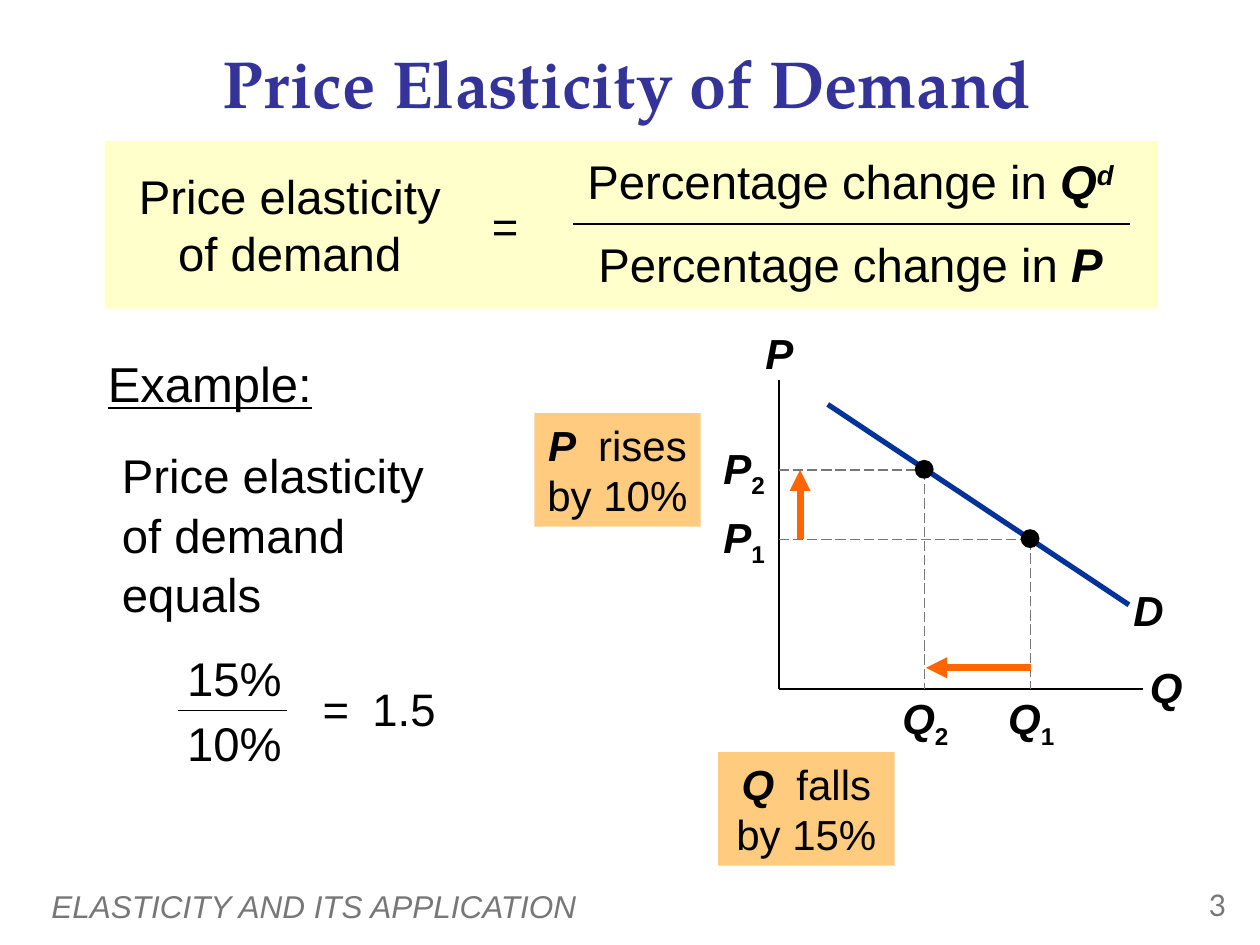
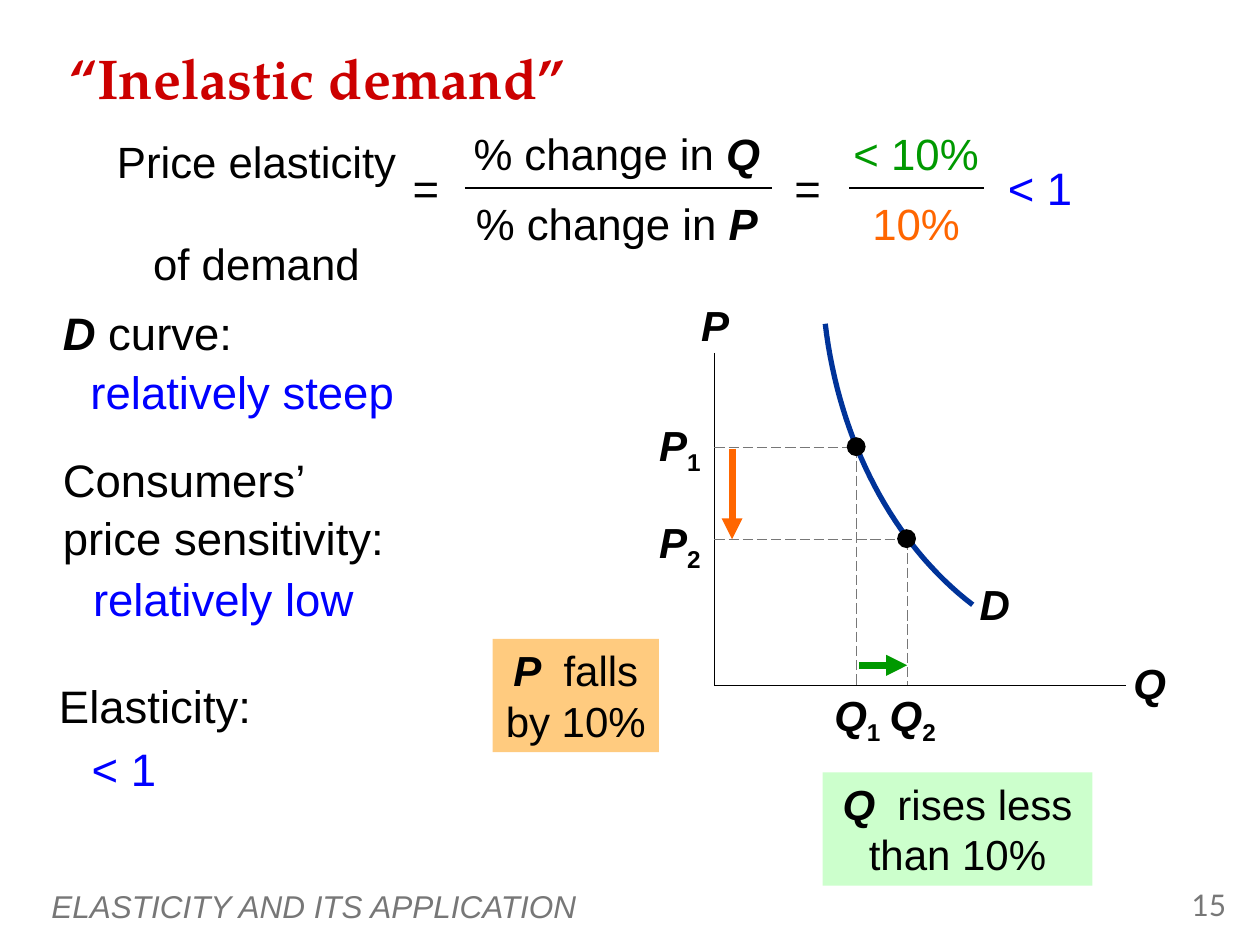
from dataclasses import dataclass

from lxml import etree
from pptx import Presentation
from pptx.dml.color import RGBColor
from pptx.enum.dml import MSO_LINE
from pptx.enum.shapes import MSO_CONNECTOR, MSO_SHAPE
from pptx.enum.text import MSO_ANCHOR, PP_ALIGN
from pptx.oxml.ns import qn
from pptx.util import Cm, Pt

LEFT, CENTER, RIGHT = PP_ALIGN.LEFT, PP_ALIGN.CENTER, PP_ALIGN.RIGHT
TOP, MIDDLE = MSO_ANCHOR.TOP, MSO_ANCHOR.MIDDLE
RECT, OVAL = MSO_SHAPE.RECTANGLE, MSO_SHAPE.OVAL
STRAIGHT, DASH = MSO_CONNECTOR.STRAIGHT, MSO_LINE.LONG_DASH


@dataclass(frozen=True)
class Theme:
    font: str = "Arial"
    title_font: str = "TeX Gyre Pagella"
    number_font: str = "Lato"
    black: str = "000000"
    grey: str = "777777"
    title: str = "333399"
    term: str = "CC0000"
    curve: str = "003399"
    orange: str = "FF6600"
    green: str = "009900"
    blue: str = "0000FF"
    cream: str = "FFFFCC"
    amber: str = "FF9900"
    mint: str = "CCFFCC"
    main_title: int = 38
    term_title: int = 32
    heading: int = 28
    body: int = 27
    notes: int = 26
    formula: int = 25
    label: int = 24
    footer: int = 18
    number: int = 17


THEME = Theme()

# Run styles: variables, their indices, and a widened space
VAR = dict(bold=True, italic=True)
SUB = dict(bold=True, base=-25)
SUP = dict(bold=True, italic=True, base=30)
GAP = (" ", dict(spacing=6))
P, Q, D = ("P", VAR), ("Q", VAR), ("D", VAR)


def units(*inches):
    """Turn positions on the 10 x 7.5 inch grid into lengths."""
    return [Cm(v * 2.54) for v in inches]


def bezier(a, b, c, d, steps=32):
    """Points along a cubic curve."""
    for n in range(steps + 1):
        t = n / steps
        s = 1 - t
        yield tuple(s**3 * i + 3 * s * s * t * j + 3 * s * t * t * k + t**3 * m
                    for i, j, k, m in zip(a, b, c, d))


class Deck:
    def __init__(self, theme):
        self.theme = theme
        self.prs = Presentation()
        self.prs.slide_width, self.prs.slide_height = units(10, 7.5)
        self.slide = None

    def new_slide(self, number):
        t = self.theme
        self.slide = self.prs.slides.add_slide(self.prs.slide_layouts[6])
        self.text((0.31, 6.99, 8.02, 0.4),
                  [("ELASTICITY AND ITS APPLICATION", dict(italic=True))],
                  t.footer, t.grey, LEFT, anchor=MIDDLE)
        self.text((9.08, 6.99, 0.75, 0.4), [str(number)], t.number, t.grey,
                  RIGHT, font=t.number_font)

    def title(self, box, words, size, color, align):
        self.text(box, [(words, dict(bold=True))], size, color, align,
                  anchor=MIDDLE, font=self.theme.title_font)

    # Text
    def fill_frame(self, tf, runs, size, color=None, align=CENTER, anchor=TOP,
                   font=None, line_spacing=None):
        tf.word_wrap = True
        tf.vertical_anchor = anchor
        self.fill_paragraph(tf.paragraphs[0], runs, size, color, align, font,
                            line_spacing)

    def fill_paragraph(self, p, runs, size, color=None, align=CENTER, font=None,
                       line_spacing=None):
        p.alignment = align
        if line_spacing:
            p.line_spacing = line_spacing
        for item in runs:
            words, style = item if isinstance(item, tuple) else (item, {})
            for n, piece in enumerate(words.split("\n")):
                if n:
                    p.add_line_break()
                r = p.add_run()
                r.text = piece
                r.font.name = font or self.theme.font
                r.font.size = Pt(size)
                r.font.bold = style.get("bold", False)
                r.font.italic = style.get("italic", False)
                r.font.underline = style.get("underline", False)
                r.font.color.rgb = RGBColor.from_string(color or self.theme.black)
                rpr = r.font._element
                if "base" in style:
                    rpr.set("baseline", str(style["base"] * 1000))
                if "spacing" in style:
                    rpr.set("spc", str(style["spacing"] * 100))

    def text(self, box, runs, size, color=None, align=CENTER, **options):
        sp = self.slide.shapes.add_textbox(*units(*box))
        self.fill_frame(sp.text_frame, runs, size, color, align, **options)
        return sp.text_frame

    def note(self, x, y, width, runs, color=None, size=None):
        self.text((x, y, width, 0.58), runs, size or self.theme.notes, color,
                  LEFT, line_spacing=1.05)

    # Shapes and lines
    def shape(self, kind, box, fill, alpha=None):
        sp = self.slide.shapes.add_shape(kind, *units(*box))
        sp.shadow.inherit = False
        sp.fill.solid()
        sp.fill.fore_color.rgb = RGBColor.from_string(fill)
        sp.line.fill.background()
        if alpha:
            clr = sp._element.spPr.find(".//" + qn("a:srgbClr"))
            etree.SubElement(clr, qn("a:alpha")).set("val", str(alpha * 1000))
        return sp

    def callout(self, box, runs, fill, alpha=None):
        sp = self.shape(RECT, box, fill, alpha)
        self.fill_frame(sp.text_frame, runs, self.theme.label)

    def line(self, start, end, color=None, width=1, dash=None, arrow=False):
        ln = self.slide.shapes.add_connector(STRAIGHT, *units(*start, *end))
        ln.line.color.rgb = RGBColor.from_string(color or self.theme.black)
        ln.line.width = Pt(width)
        if dash:
            ln.line.dash_style = dash
        props = ln._element.spPr
        if arrow:
            tail = etree.SubElement(props.find(qn("a:ln")), qn("a:tailEnd"))
            tail.set("type", "triangle")
        etree.SubElement(props, qn("a:effectLst"))

    def arrow(self, start, end, color):
        self.line(start, end, color, 4, arrow=True)

    def curve(self, points):
        first, *rest = [units(*pt) for pt in points]
        builder = self.slide.shapes.build_freeform(*first)
        builder.add_line_segments(rest, close=False)
        sp = builder.convert_to_shape()
        sp.shadow.inherit = False
        sp.fill.background()
        sp.line.color.rgb = RGBColor.from_string(self.theme.curve)
        sp.line.width = Pt(3)

    # Formula and graph parts
    def fraction(self, x, width, tops, upper, lower, size, bar, colors=(None, None)):
        for top, runs, color in zip(tops, (upper, lower), colors):
            self.text((x, top, width, 0.53), runs, size, color)
        x1, x2, y = bar
        self.line((x1, y), (x2, y))

    def label(self, x, y, runs, align=CENTER):
        """Graph label, centred on x or ending at it."""
        left = x - (0.67 if align == RIGHT else 0.33)
        self.text((left, y, 0.67, 0.5), runs, self.theme.label, align=align)

    def axes(self, x, y, top, right):
        self.origin = x, y
        self.line((x, top), (x, y))
        self.line((x, y), (right, y))
        self.label(x, top - 0.47, [P])
        self.label(right + 0.18, y - 0.27, [Q])

    def point(self, x, y, index, shift=0):
        """Dot on the curve with guides and labels on both axes."""
        x0, y0 = self.origin
        t = self.theme
        self.line((x0, y), (x, y), t.grey, 0.75, DASH)
        self.line((x, y), (x, y0), t.grey, 0.75, DASH)
        self.shape(OVAL, (x - 0.08, y - 0.08, 0.15, 0.15), t.black)
        self.label(x0 - 0.01, y - 0.27 + shift, [P, (index, SUB)], RIGHT)
        self.label(x + shift, y0 - 0.02, [Q, (index, SUB)])


def price_elasticity(deck):
    t = deck.theme
    deck.new_slide(3)
    deck.title((0.38, 0.28, 9.2, 0.74), "Price Elasticity of Demand",
               t.main_title, t.title, CENTER)

    # Definition
    deck.shape(RECT, (0.83, 1.12, 8.36, 1.33), t.cream)
    deck.text((0.92, 1.28, 2.76, 1), ["Price elasticity of demand"], t.body)
    deck.text((3.76, 1.52, 0.5, 0.53), ["="], t.notes)
    change = "Percentage change in "
    deck.fraction(4.45, 4.6, (1.16, 1.82), [change, Q, ("d", SUP)],
                  [change, P], t.body, (4.55, 8.97, 1.78))

    # Graph
    deck.axes(6.18, 5.47, 3.02, 9.07)
    deck.line((6.57, 3.21), (8.96, 4.8), t.curve, 3)
    deck.label(9.11, 4.59, [D])
    deck.point(7.34, 3.73, "2")
    deck.point(8.18, 4.28, "1")
    deck.arrow((6.35, 4.28), (6.35, 3.73), t.orange)
    deck.arrow((8.18, 5.3), (7.35, 5.3), t.orange)
    deck.callout((4.24, 3.28, 1.32, 0.9), [P, GAP, "rises by 10%"], t.amber, 50)
    deck.callout((5.7, 5.97, 1.4, 0.9), [Q, GAP, "falls by 15%"], t.amber, 50)

    # Worked example
    deck.text((0.57, 2.76, 2.19, 0.57), [("Example:", dict(underline=True))],
              t.heading)
    deck.note(0.87, 3.47, 2.7, ["Price elasticity\nof demand equals"], size=t.body)
    deck.fraction(1.31, 1.1, (5.1, 5.62), ["15%"], ["10%"], t.body,
                  (1.41, 2.28, 5.64))
    deck.text((2.33, 5.36, 1.36, 0.53), ["=", GAP, "1.5"], t.notes)


def inelastic_demand(deck):
    t = deck.theme
    deck.new_slide(15)
    deck.title((0.45, 0.27, 9.12, 0.68), "“Inelastic demand”",
               t.term_title, t.term, LEFT)

    # Graph
    deck.axes(5.67, 5.44, 2.8, 8.94)
    deck.curve(bezier((7.72, 4.8), (7.09, 4.32), (6.66, 3.5), (6.55, 2.57)))
    deck.label(7.89, 4.54, [D])
    deck.point(6.8, 3.55, "1")
    deck.point(7.2, 4.28, "2", shift=0.04)
    deck.arrow((5.81, 3.56), (5.81, 4.28), t.orange)
    deck.arrow((6.82, 5.28), (7.2, 5.28), t.green)
    deck.callout((3.91, 5.07, 1.32, 0.9), [P, GAP, "falls by 10%"], t.amber, 50)
    deck.callout((6.53, 6.13, 2.14, 0.9), [Q, GAP, "rises less than 10%"], t.mint)

    # Formula
    tf = deck.text((0.79, 1.05, 2.49, 0.89), ["Price elasticity"], t.formula,
                   line_spacing=0.95)
    p = tf.add_paragraph()
    p.space_before = Pt(30)
    deck.fill_paragraph(p, ["of demand"], t.formula, line_spacing=0.95)
    for x in (3.13, 6.16):
        deck.text((x, 1.22, 0.5, 0.53), ["="], t.notes)
    rows = (0.96, 1.51)
    deck.fraction(3.59, 2.61, rows, ["% change in ", Q], ["% change in ", P],
                  t.formula, (3.69, 6.13, 1.49))
    deck.fraction(6.63, 1.28, rows, ["< 10%"], ["10%"], t.formula,
                  (6.74, 7.81, 1.49), (t.green, t.orange))
    deck.text((7.88, 1.22, 0.75, 0.53), ["< 1"], t.notes, t.blue)

    # Properties
    deck.note(0.4, 2.35, 1.63, [D, " curve:"])
    deck.note(0.62, 2.82, 3.17, ["relatively steep"], t.blue)
    deck.note(0.4, 3.52, 3.71, ["Consumers’\nprice sensitivity:"])
    deck.note(0.64, 4.46, 2.87, ["relatively low"], t.blue)
    deck.note(0.37, 5.31, 1.77, ["Elasticity:"])
    deck.note(0.63, 5.81, 2, ["< 1"], t.blue)


def main():
    deck = Deck(THEME)
    price_elasticity(deck)
    inelastic_demand(deck)
    deck.prs.save("out.pptx")


if __name__ == "__main__":
    main()
